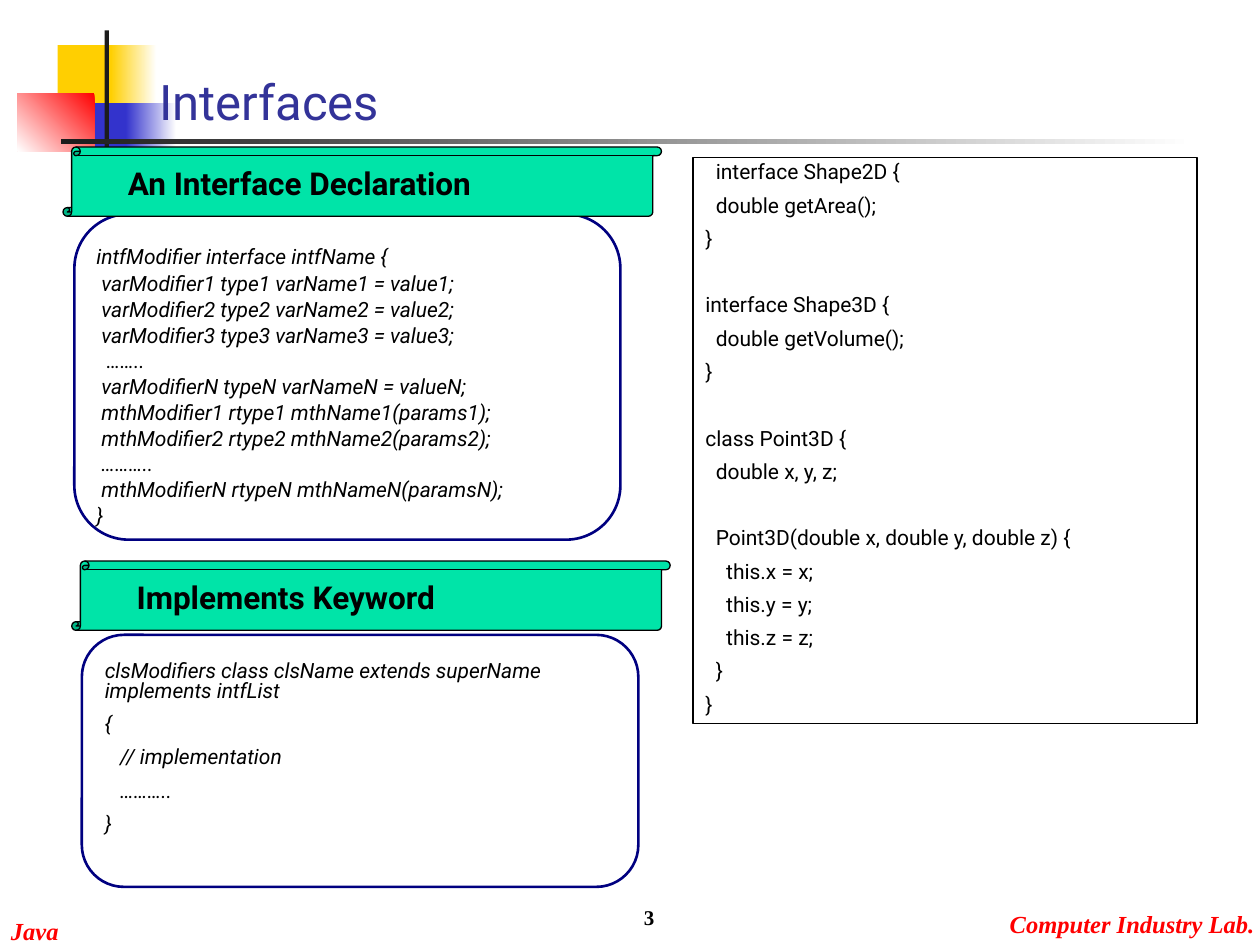
import pptx
import pptx.dml.color
import pptx.enum.shapes
import pptx.enum.text
import pptx.util

Pt = pptx.util.Pt
SHAPES = pptx.enum.shapes.MSO_SHAPE
ANCHOR = pptx.enum.text.MSO_ANCHOR
ALIGN = pptx.enum.text.PP_ALIGN

DECLARATION = """intfModifier interface intfName {
 varModifier1 type1 varName1 = value1;
 varModifier2 type2 varName2 = value2;
 varModifier3 type3 varName3 = value3;
  ……..
 varModifierN typeN varNameN = valueN;
 mthModifier1 rtype1 mthName1(params1);
 mthModifier2 rtype2 mthName2(params2);
 ………..
 mthModifierN rtypeN mthNameN(paramsN);
}"""

IMPLEMENTATION = """clsModifiers class clsName extends superName implements intfList
{
   // implementation
   ………..
}"""

SHAPE_CODE = """  interface Shape2D {
  double getArea();
}

interface Shape3D {
  double getVolume();
}

class Point3D {
  double x, y, z;

  Point3D(double x, double y, double z) {
    this.x = x;
    this.y = y;
    this.z = z;
  }
}"""


def color(value):
    return pptx.dml.color.RGBColor.from_string(value)


def add_shape(slide, kind, box, fill=None, line=None, line_width=0.75):
    shape = slide.shapes.add_shape(kind, *[Pt(length) for length in box])
    shape.shadow.inherit = False
    if fill:
        shape.fill.solid()
        shape.fill.fore_color.rgb = color(fill)
    else:
        shape.fill.background()
    if line:
        shape.line.color.rgb = color(line)
        shape.line.width = Pt(line_width)
    else:
        shape.line.fill.background()
    return shape


def add_gradient(slide, box, start, end, angle=0):
    shape = add_shape(slide, SHAPES.RECTANGLE, box)
    shape.fill.gradient()
    shape.fill.gradient_angle = angle
    for stop, value in zip(shape.fill.gradient_stops, (start, end)):
        stop.color.rgb = color(value)


def style(paragraph, size, value="000000", name="Roboto", bold=False, italic=False):
    font = paragraph.font
    font.size = Pt(size)
    font.name = name
    font.color.rgb = color(value)
    font.bold = bold
    font.italic = italic


def add_text(slide, box, text, size, anchor=ANCHOR.TOP, align=ALIGN.LEFT,
             margin=7.2, **font):
    shape = slide.shapes.add_textbox(*[Pt(length) for length in box])
    frame = shape.text_frame
    frame.word_wrap = True
    frame.margin_left = frame.margin_right = Pt(margin)
    frame.vertical_anchor = anchor
    paragraph = frame.paragraphs[0]
    paragraph.text = text
    paragraph.alignment = align
    style(paragraph, size, **font)


def write_code(shape, code, spacing=0.8, italic=False):
    frame = shape.text_frame
    frame.word_wrap = True
    frame.vertical_anchor = ANCHOR.TOP
    paragraph = frame.paragraphs[0]
    gap = 0
    for index, line in enumerate(code.split("\n")):
        if not line:
            gap += 19
            continue
        if index:
            paragraph = frame.add_paragraph()
            paragraph.space_before = Pt(7.5 + gap)
        paragraph.text = line
        paragraph.alignment = ALIGN.LEFT
        paragraph.line_spacing = spacing if index else 0.8
        style(paragraph, 12, italic=italic)
        gap = 0


def add_section(slide, heading, scroll_position, panel, code_box, code, spacing):
    left, top = scroll_position
    add_shape(slide, SHAPES.ROUNDED_RECTANGLE, panel, line="000080", line_width=1.5)
    code_shape = slide.shapes.add_textbox(*[Pt(length) for length in code_box])
    write_code(code_shape, code, spacing, italic=True)
    add_shape(slide, SHAPES.VERTICAL_SCROLL, (left, top, 342, 39.6), "00E4A8", "000000")
    add_text(slide, (left + 30, top + 6, 294, 28.8), heading, 18, bold=True)


def add_decoration(slide):
    add_shape(slide, SHAPES.RECTANGLE, (33, 25.8, 34.5, 37.5), "FFCF01")
    add_gradient(slide, (63.4, 25.8, 26, 37.5), "FFCF01", "FFFFFF")
    add_shape(slide, SHAPES.RECTANGLE, (42.5, 59, 33, 37.5), "3333CC")
    add_gradient(slide, (72, 59, 28.8, 37.5), "3333CC", "FFFFFF")
    add_gradient(slide, (10, 53.2, 44, 33.2), "FF0000", "FFFFFF", 225)
    add_shape(slide, SHAPES.RECTANGLE, (59.8, 17.3, 2.4, 82.8), "1C1C1C")
    add_gradient(slide, (34.6, 79.7, 648, 2.5), "1C1C1C", "FFFFFF")


def add_footer(slide):
    footer_font = {"value": "FF0000", "name": "Times New Roman",
                   "bold": True, "italic": True}
    add_text(slide, (6.2, 520, 34, 20), "Java", 14, margin=0, **footer_font)
    add_text(slide, (577, 516, 143, 24), "Computer Industry Lab.", 14,
             margin=0, **footer_font)
    add_text(slide, (231, 499, 150, 36), "3", 12, ANCHOR.BOTTOM, ALIGN.RIGHT,
             name="Times New Roman", bold=True)


def main():
    presentation = pptx.Presentation()
    presentation.slide_width = Pt(720)
    presentation.slide_height = Pt(540)
    slide = presentation.slides.add_slide(presentation.slide_layouts[6])
    add_decoration(slide)
    add_text(slide, (84, 36, 216, 42), "Interfaces", 28, ANCHOR.BOTTOM, value="333399")
    add_section(slide, "An Interface Declaration", (36, 84),
                (42.5, 122.4, 312, 186), (48, 138.4, 300, 166), DECLARATION, 0.5)
    code_panel = add_shape(slide, SHAPES.RECTANGLE, (396, 90, 288, 323.3), line="000000")
    write_code(code_panel, SHAPE_CODE)
    add_section(slide, "Implements Keyword", (41, 320.6),
                (46.8, 362.8, 318, 144), (52.8, 374.8, 300, 106.5), IMPLEMENTATION, 0.8)
    add_footer(slide)
    presentation.save("out.pptx")


if __name__ == "__main__":
    main()
